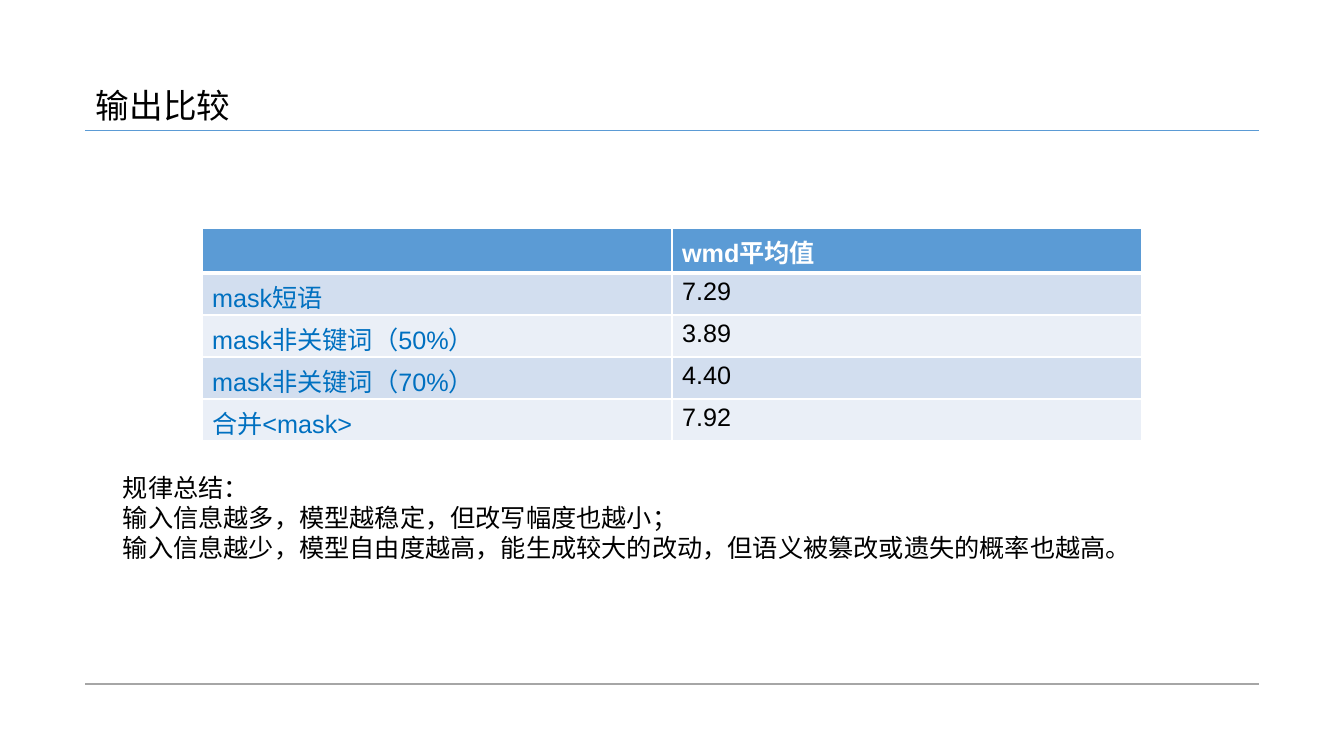
from lxml import etree
from pptx import Presentation, util as u
from pptx.dml.color import RGBColor
from pptx.enum import shapes, text
from pptx.oxml.ns import qn

PX = 9144000 / 1008
FONT = "Arial"
COLORS = {
    "blue": "5B9BD5", "grey": "A6A6A6", "black": "000000", "white": "FFFFFF",
    "label": "0070C0", "band_dark": "D2DEEF", "band_light": "EAEFF7",
}
ROWS = [
    ("", "wmd平均值"),
    ("mask短语", "7.29"),
    ("mask非关键词（50%）", "3.89"),
    ("mask非关键词（70%）", "4.40"),
    ("合并<mask>", "7.92"),
]
SUMMARY = [
    "规律总结：",
    "输入信息越多，模型越稳定，但改写幅度也越小；",
    "输入信息越少，模型自由度越高，能生成较大的改动，但语义被篡改或遗失的概率也越高。",
]


def px(n):
    """Turn pixels into EMU."""
    return u.Emu(round(n * PX))


def rgb(name):
    """Look up a named colour."""
    return RGBColor.from_string(COLORS[name])


def write(tf, lines, size=18, color="black", bold=False):
    """Fill a text frame with one paragraph per line."""
    for i, line in enumerate(lines):
        p = tf.paragraphs[0] if i == 0 else tf.add_paragraph()
        p.font.size = u.Pt(size)
        if not line:
            continue
        r = p.add_run()
        r.text = line
        r.font.name = FONT
        r.font.size = u.Pt(size)
        r.font.bold = bold
        r.font.color.rgb = rgb(color)


def add_text(s, box, lines, **style):
    """Add a wrapping text box that grows with its text."""
    tf = s.shapes.add_textbox(*map(px, box)).text_frame
    tf.word_wrap = True
    tf.auto_size = text.MSO_AUTO_SIZE.SHAPE_TO_FIT_TEXT
    write(tf, lines, **style)


def add_rule(s, y, color, width):
    """Draw a horizontal rule across the content width."""
    line = s.shapes.add_connector(
        shapes.MSO_CONNECTOR.STRAIGHT, px(1259), px(y), px(85), px(y))
    line.line.color.rgb = rgb(color)
    line.line.width = u.Pt(width)
    etree.SubElement(line._element.spPr, qn("a:effectLst"))


def set_borders(cell, **widths):
    """Give a cell white borders, 1 pt unless a side is named."""
    tc_pr = cell._tc.get_or_add_tcPr()
    for side in "LRTB":
        width = u.Pt(widths.get(side, 1))
        ln = etree.SubElement(tc_pr, qn("a:ln" + side), w=str(width))
        fill = etree.SubElement(ln, qn("a:solidFill"))
        etree.SubElement(fill, qn("a:srgbClr"), val=COLORS["white"])


def add_score_table(s):
    """Add the table of average scores, with a header and banded rows."""
    table = s.shapes.add_table(
        len(ROWS), 2, px(202), px(228), px(940), px(213)).table
    for i, row in enumerate(ROWS):
        table.rows[i].height = px(42 if i else 45)
        for j, value in enumerate(row):
            cell = table.cell(i, j)
            if i == 0:
                band, style = "blue", {"color": "white", "bold": True}
            else:
                band = "band_dark" if i % 2 else "band_light"
                style = {"color": "black" if j else "label"}
            set_borders(cell, **{0: {"B": 3}, 1: {"T": 3}}.get(i, {}))
            cell.fill.solid()
            cell.fill.fore_color.rgb = rgb(band)
            write(cell.text_frame, [value], **style)


def main():
    """Build the slide and save it."""
    prs = Presentation()
    prs.slide_width, prs.slide_height = px(1344), px(756)
    s = prs.slides.add_slide(prs.slide_layouts[6])
    add_rule(s, 130, "blue", 0.5)
    add_rule(s, 684, "grey", 1.5)
    add_text(s, (86, 80, 1178, 50), ["输出比较"], size=24)
    add_score_table(s)
    add_text(s, (113, 467, 1118, 102), SUMMARY)
    prs.save("out.pptx")


main()
